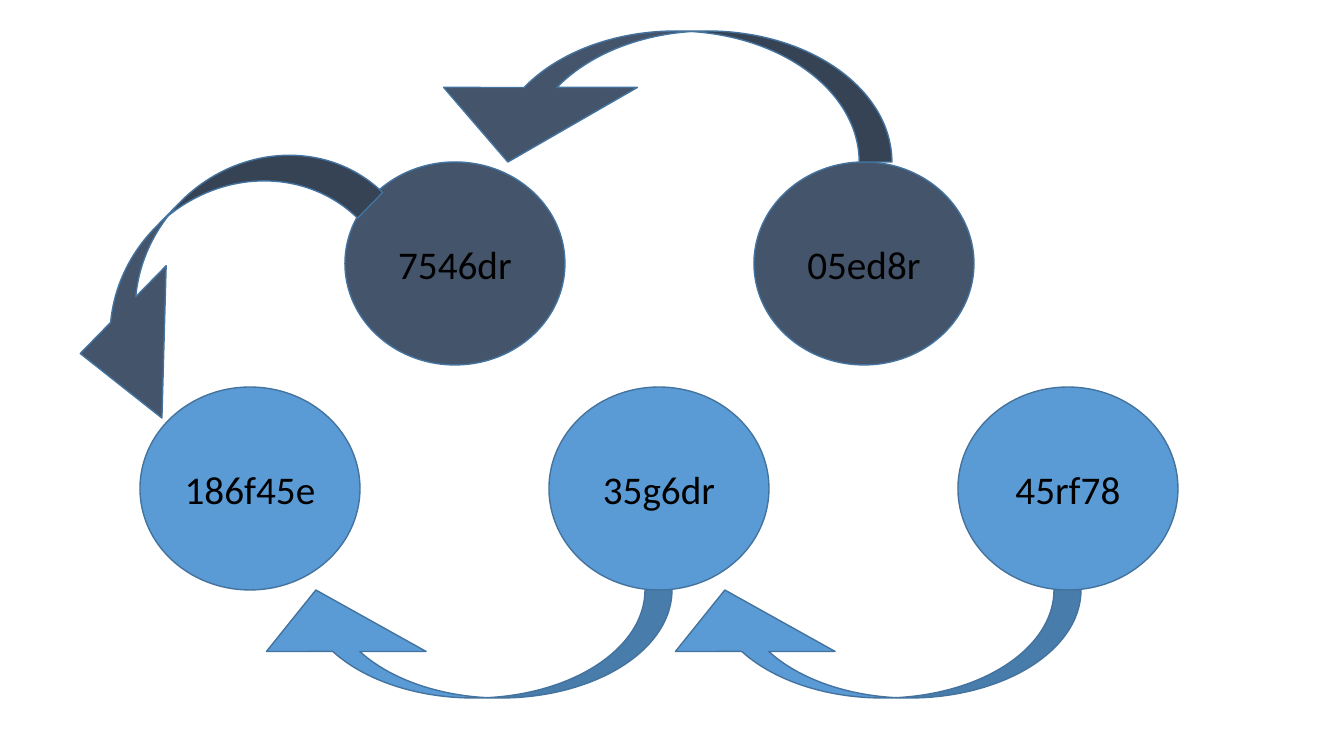
from pptx import Presentation
from pptx.dml.color import RGBColor
from pptx.enum.shapes import MSO_SHAPE
from pptx.enum.text import MSO_ANCHOR, PP_ALIGN
from pptx.util import Emu, Pt

SCALE = 914400 / 100.8
COLORS = {"blue": "5B9BD5", "slate": "44546A", "outline": "43739E", "text": "000000"}
NODE_WIDTH, NODE_HEIGHT, NODE_PITCH = 220, 203, 409
WIDE_HEAD = (0.25, 1.479, 0.569)
STEEP_HEAD = (0.26, 0.89, 0.75)


def px(length):
    """Turn pixels into EMU."""
    return Emu(round(length * SCALE))


def add_figure(slide, preset, box, color):
    """Add a filled, outlined preset shape in the box."""
    figure = slide.shapes.add_shape(preset, *map(px, box))
    figure.shadow.inherit = False
    figure.fill.solid()
    figure.fill.fore_color.rgb = RGBColor.from_string(COLORS[color])
    figure.line.color.rgb = RGBColor.from_string(COLORS["outline"])
    figure.line.width = Pt(1)
    return figure


def add_node(slide, box, label, color):
    """Add one labelled node."""
    node = add_figure(slide, MSO_SHAPE.OVAL, box, color)
    frame = node.text_frame
    frame.text = label
    frame.vertical_anchor = MSO_ANCHOR.MIDDLE
    paragraph = frame.paragraphs[0]
    paragraph.alignment = PP_ALIGN.CENTER
    font = paragraph.runs[0].font
    font.name = "Calibri"
    font.size = Pt(28)
    font.color.rgb = RGBColor.from_string(COLORS["text"])


def add_hop(slide, box, color, rotation=0, mirrored=False, head=WIDE_HEAD):
    """Add a curved arrow leading from one node to the next."""
    hop = add_figure(slide, MSO_SHAPE.CURVED_DOWN_ARROW, box, color)
    for index, value in enumerate(head):
        hop.adjustments[index] = value
    hop.rotation = rotation
    if mirrored:
        hop._element.spPr.xfrm.set("flipH", "1")


def add_node_row(slide, left, top, labels, color):
    """Add evenly spaced nodes from the given corner."""
    for index, label in enumerate(labels):
        box = (left + index * NODE_PITCH, top, NODE_WIDTH, NODE_HEIGHT)
        add_node(slide, box, label, color)


def add_lower_chain(slide, left, top):
    """Add the blue nodes and the arrows below them."""
    labels = ["186f45e", "35g6dr", "45rf78"]
    add_node_row(slide, left, top, labels, "blue")
    for index in range(len(labels) - 1):
        box = (left + 96 + index * NODE_PITCH, top + NODE_HEIGHT, 436, 108)
        add_hop(slide, box, "blue", rotation=180)


def add_upper_chain(slide, left, top):
    """Add the slate nodes and the arrows above and beside them."""
    add_node_row(slide, left, top, ["7546dr", "05ed8r"], "slate")
    add_hop(slide, (left - 332, top + 48, 377, 138), "slate",
            rotation=314.4, mirrored=True, head=STEEP_HEAD)
    add_hop(slide, (left + 66, top - 131, 481, 131), "slate", mirrored=True)


presentation = Presentation()
presentation.slide_width, presentation.slide_height = px(1344), px(756)
chain_slide = presentation.slides.add_slide(presentation.slide_layouts[6])
add_lower_chain(chain_slide, 140, 387)
add_upper_chain(chain_slide, 345, 162)
presentation.save("out.pptx")
